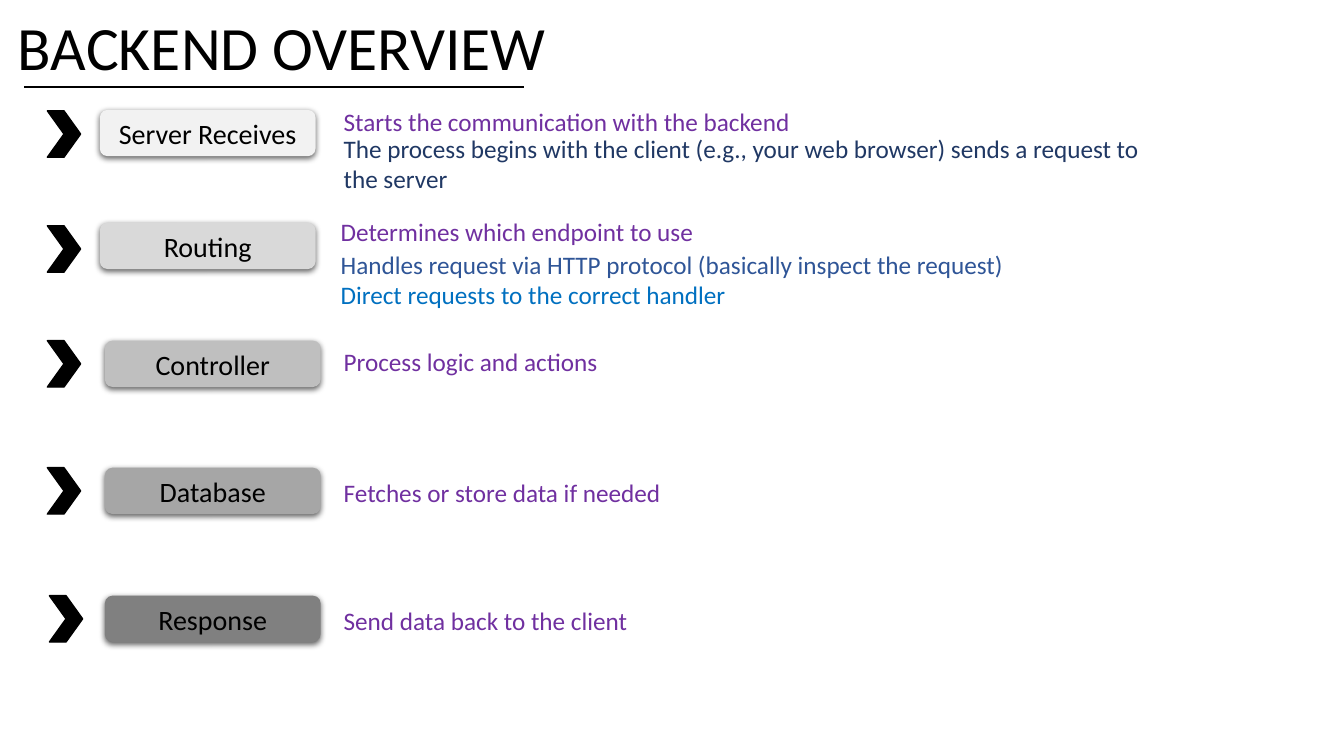
import dataclasses
import typing

import lxml.etree
import pptx
import pptx.dml.color
import pptx.enum.shapes
import pptx.enum.text
import pptx.oxml.ns
import pptx.util

Inches = pptx.util.Inches
SHAPES = pptx.enum.shapes.MSO_SHAPE
ALIGN = pptx.enum.text.PP_ALIGN
ANCHOR = pptx.enum.text.MSO_ANCHOR


@dataclasses.dataclass(frozen=True)
class Theme:
    font: str = "Calibri"
    title_size: int = 44
    label_size: int = 20
    detail_size: int = 18
    black: str = "000000"
    purple: str = "7030A0"
    navy: str = "203864"
    blue: str = "2F5597"
    bright_blue: str = "0070C0"


THEME = Theme()


class Detail(typing.NamedTuple):
    text: str
    top: float
    width: float = 4.88
    height: float = 0.4
    color: str = THEME.purple


@dataclasses.dataclass(frozen=True)
class Stage:
    label: str
    fill: str
    top: float
    details: tuple[Detail, ...]
    left: float = 1.04
    chevron_left: float = 0.47
    chevron_shift: float = 0.0
    detail_left: float = 3.31


STAGES = (
    Stage("Server Receives", "F2F2F2", 1.09, (
        Detail("Starts the communication with the backend", 1.01),
        Detail("The process begins with the client (e.g., your web browser) "
               "sends a request to the server", 1.27, 8.32, 0.71, THEME.navy),
    ), left=0.99, chevron_shift=0.01),
    Stage("Routing", "D9D9D9", 2.21, (
        Detail("Determines which endpoint to use", 2.1),
        Detail("Handles request via HTTP protocol (basically inspect the request)",
               2.42, 7.33, color=THEME.blue),
        Detail("Direct requests to the correct handler", 2.72, 7.33,
               color=THEME.bright_blue),
    ), left=0.99, chevron_shift=0.03, detail_left=3.28),
    Stage("Controller", "BFBFBF", 3.38, (Detail("Process logic and actions", 3.39),)),
    Stage("Database", "A6A6A6", 4.64, (Detail("Fetches or store data if needed", 4.69),)),
    Stage("Response", "808080", 5.91, (Detail("Send data back to the client", 5.96),),
          chevron_left=0.49),
)


def rgb(color: str) -> pptx.dml.color.RGBColor:
    return pptx.dml.color.RGBColor.from_string(color)


def write_text(shape, text: str, *, size: int, color: str = THEME.black,
               align=ALIGN.LEFT, anchor=ANCHOR.TOP, line_spacing: float = 1.0) -> None:
    frame = shape.text_frame
    frame.word_wrap = True
    frame.vertical_anchor = anchor
    paragraph = frame.paragraphs[0]
    paragraph.alignment = align
    paragraph.line_spacing = line_spacing
    run = paragraph.add_run()
    run.text = text
    run.font.name = THEME.font
    run.font.size = pptx.util.Pt(size)
    run.font.color.rgb = rgb(color)


def add_text_box(slide, left: float, top: float, width: float, height: float,
                 text: str, **text_format) -> None:
    box = slide.shapes.add_textbox(Inches(left), Inches(top), Inches(width), Inches(height))
    write_text(box, text, **text_format)


def add_filled_shape(slide, kind, left: float, top: float, width: float,
                     height: float, fill: str):
    shape = slide.shapes.add_shape(kind, Inches(left), Inches(top),
                                   Inches(width), Inches(height))
    shape.shadow.inherit = False
    shape.fill.solid()
    shape.fill.fore_color.rgb = rgb(fill)
    return shape


def add_soft_shadow(shape) -> None:
    """Drop a short black shadow straight below the shape."""
    qn = pptx.oxml.ns.qn
    effects = shape.element.spPr.find(qn("a:effectLst"))
    shadow = lxml.etree.SubElement(
        effects, qn("a:outerShdw"), blurRad=str(pptx.util.Pt(4.5)),
        dist=str(pptx.util.Pt(1.5)), dir="5400000", algn="ctr", rotWithShape="0")
    color = lxml.etree.SubElement(shadow, qn("a:srgbClr"), val=THEME.black)
    lxml.etree.SubElement(color, qn("a:alpha"), val="63000")


def add_title(slide) -> None:
    add_text_box(slide, 0.08, -0.22, 11.5, 1.45, "BACKEND OVERVIEW",
                 size=THEME.title_size, anchor=ANCHOR.MIDDLE, line_spacing=0.9)
    rule = slide.shapes.add_connector(
        pptx.enum.shapes.MSO_CONNECTOR.STRAIGHT,
        Inches(0.24), Inches(0.86), Inches(5.2), Inches(0.86))
    rule.line.color.rgb = rgb(THEME.black)
    rule.line.width = pptx.util.Pt(1.5)
    lxml.etree.SubElement(rule.element.spPr, pptx.oxml.ns.qn("a:effectLst"))


def add_stage(slide, stage: Stage) -> None:
    # Chevron marker
    chevron = add_filled_shape(slide, SHAPES.CHEVRON, stage.chevron_left,
                               stage.top + stage.chevron_shift, 0.33, 0.46, THEME.black)
    chevron.line.color.rgb = rgb(THEME.black)
    chevron.line.width = pptx.util.Pt(1)

    # Stage label
    label = add_filled_shape(slide, SHAPES.ROUNDED_RECTANGLE, stage.left, stage.top,
                             2.14, 0.46, stage.fill)
    label.line.fill.background()
    add_soft_shadow(label)
    write_text(label, stage.label, size=THEME.label_size,
               align=ALIGN.CENTER, anchor=ANCHOR.MIDDLE)

    # Explanations
    for detail in stage.details:
        add_text_box(slide, stage.detail_left, detail.top, detail.width, detail.height,
                     detail.text, size=THEME.detail_size, color=detail.color)


def main() -> None:
    presentation = pptx.Presentation()
    presentation.slide_width = Inches(13.33)
    presentation.slide_height = Inches(7.5)
    slide = presentation.slides.add_slide(presentation.slide_layouts[6])
    add_title(slide)
    for stage in STAGES:
        add_stage(slide, stage)
    presentation.save("out.pptx")


if __name__ == "__main__":
    main()
